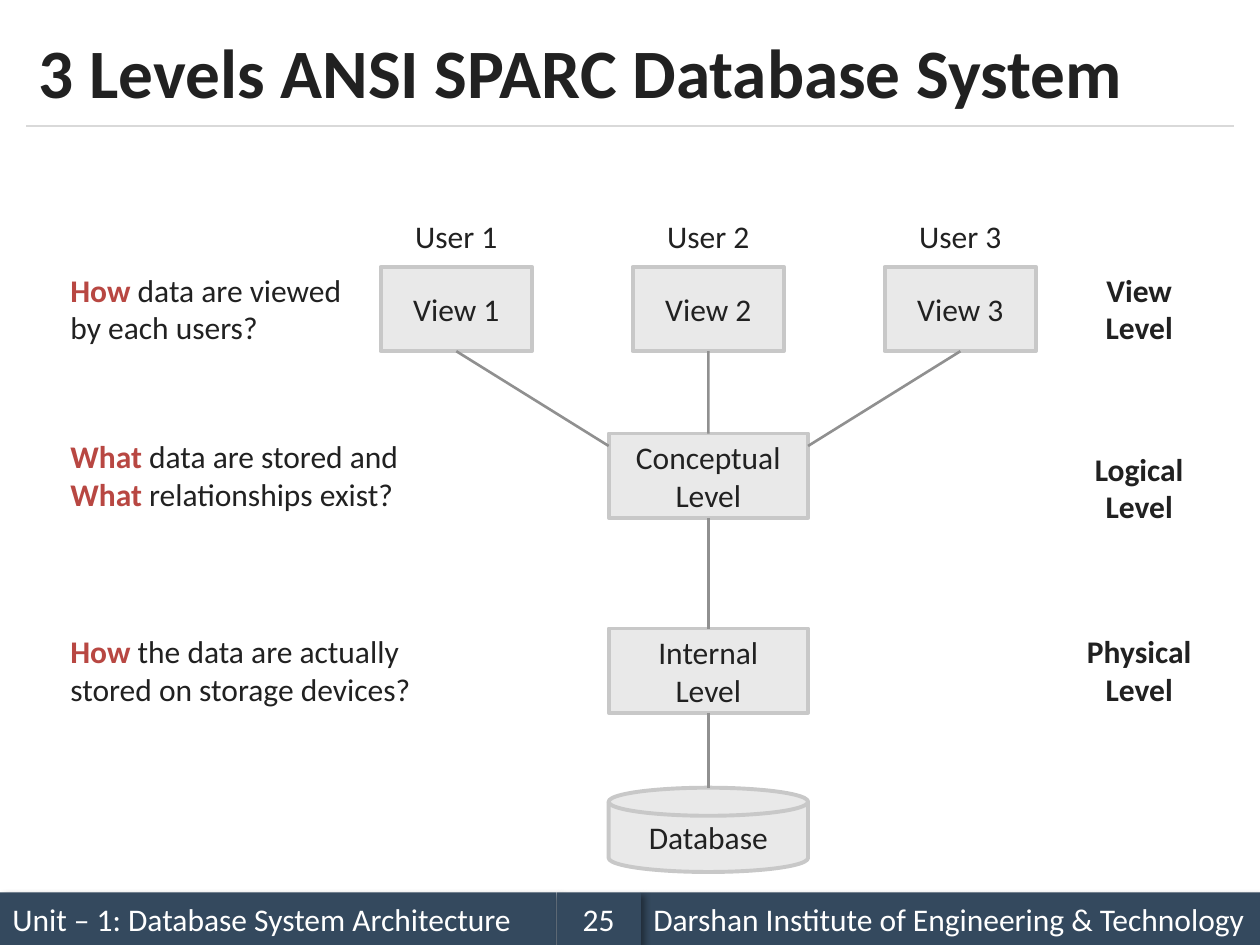
from lxml.etree import SubElement as Sub
from pptx import Presentation
from pptx.dml.color import RGBColor
from pptx.enum.shapes import MSO_CONNECTOR as Link, MSO_SHAPE as Shape
from pptx.enum.text import MSO_ANCHOR as Anchor, MSO_AUTO_SIZE as Fit, PP_ALIGN as Align
from pptx.oxml.ns import qn
from pptx.util import Cm, Pt

FONT = "Calibri"
INK = RGBColor(0x21, 0x21, 0x21)
RED = RGBColor(0xB8, 0x47, 0x42)
WHITE = RGBColor(0xFF, 0xFF, 0xFF)
NAVY = RGBColor(0x34, 0x49, 0x5E)
PALE = RGBColor(0xE9, 0xE9, 0xE9)
EDGE = RGBColor(0xC8, 0xC8, 0xC8)
GREY = RGBColor(0x90, 0x90, 0x90)
RULE = RGBColor(0xD9, 0xD9, 0xD9)

WIDE, HIGH = 25.4, 19.05
TALL = 1.7                      # height of every diagram box
ROWS = (5.38, 8.74, 12.67)      # tops of the three levels
BASE = 15.88                    # top of the database


def write(frame, text, size=18, color=INK, bold=False, align=Align.LEFT, anchor=Anchor.TOP):
    """Fill a frame; each line becomes a paragraph, and *words* turn bold red."""
    frame.word_wrap = True
    frame.auto_size = Fit.NONE
    frame.vertical_anchor = anchor
    for i, line in enumerate(text.split("\n")):
        para = frame.paragraphs[0] if i == 0 else frame.add_paragraph()
        para.alignment = align
        for j, part in enumerate(line.split("*")):
            if part:
                run = para.add_run()
                run.text = part
                font = run.font
                font.name, font.size = FONT, Pt(size)
                font.bold = bold or j % 2 == 1
                font.color.rgb = RED if j % 2 else color


def label(slide, box, text, **style):
    area = slide.shapes.add_textbox(*map(Cm, box))
    write(area.text_frame, text, **style)


def block(slide, box, text, kind=Shape.RECTANGLE, fill=PALE, edge=EDGE, **style):
    item = slide.shapes.add_shape(kind, *map(Cm, box))
    item.shadow.inherit = False
    item.fill.solid()
    item.fill.fore_color.rgb = fill
    if edge is None:
        item.line.fill.background()
    else:
        item.line.color.rgb = edge
        item.line.width = Pt(2.25)
    write(item.text_frame, text, anchor=Anchor.MIDDLE, **style)
    return item


def line(slide, start, end, color=GREY, width=1.5):
    wire = slide.shapes.add_connector(Link.STRAIGHT, *map(Cm, (*start, *end)))
    wire.line.color.rgb = color
    wire.line.width = Pt(width)
    Sub(wire._element.spPr, qn("a:effectLst"))
    return wire


def join(slide, upper, lower):
    wire = line(slide, (0, 0), (0, 0))
    wire.begin_connect(upper, 2)
    wire.end_connect(lower, 0)


def shade(item):
    """Give a shape a soft shadow to the lower right."""
    effects = item._element.spPr.find(qn("a:effectLst"))
    cast = Sub(effects, qn("a:outerShdw"), blurRad=str(Pt(4)), dist=str(Pt(3)),
               dir=str(45 * 60000), algn="tl", rotWithShape="0")
    tint = Sub(cast, qn("a:srgbClr"), val="000000")
    Sub(tint, qn("a:alpha"), val="40000")


def head(slide, box):
    x, y, w, h = box
    title = slide.shapes.title
    title.left, title.top, title.width, title.height = map(Cm, box)
    write(title.text_frame, "3 Levels ANSI SPARC Database System",
          size=39.6, bold=True, anchor=Anchor.MIDDLE)
    line(slide, (x, y + h), (x + w, y + h), RULE, 0.75)


def foot(slide, box):
    x, y, w, h = box
    left, mid = 11.22, 1.7
    right = left + mid
    bars = (
        (0, left, "Unit – 1: Database System Architecture", Align.LEFT),
        (right, w - right, "Darshan Institute of Engineering & Technology", Align.LEFT),
        (left, mid, "25", Align.CENTER),
    )
    for dx, wide, text, align in bars:
        shade(block(slide, (x + dx, y, wide, h), text, fill=NAVY, edge=None,
                    color=WHITE, align=align))


def chart(slide, box):
    """Three user views over the conceptual and internal levels and the database."""
    x, y, w, h = box
    mid = x + w / 2
    step, slim, broad = 5.08, 3.05, 4.02
    views = []
    for i in range(3):
        axis = mid + (i - 1) * step
        label(slide, (axis - 1.27, y - 1.13, 2.54, 1.02), f"User {i + 1}", align=Align.CENTER)
        views.append(block(slide, (axis - slim / 2, y, slim, TALL), f"View {i + 1}",
                           align=Align.CENTER))
    # Central column
    column = (
        (ROWS[1], "Conceptual\nLevel", Shape.RECTANGLE),
        (ROWS[2], "Internal\nLevel", Shape.RECTANGLE),
        (BASE, "Database", Shape.FLOWCHART_MAGNETIC_DISK),
    )
    stack = [views[1]]
    for top, text, kind in column:
        stack.append(block(slide, (mid - broad / 2, top, broad, TALL), text, kind,
                           align=Align.CENTER))
    # Links
    for side in (-1, 1):
        line(slide, (mid + side * step, y + TALL), (mid + side * broad / 2, ROWS[1] + 0.25))
    for upper, lower in zip(stack, stack[1:]):
        join(slide, upper, lower)


def asks(slide, box):
    x, y, w, h = box
    notes = (
        (0, 6.05, "*How* data are viewed by each users?"),
        (3.35, w, "*What* data are stored and\n*What* relationships exist?"),
        (7.29, w, "*How* the data are actually stored on storage devices?"),
    )
    for dy, wide, text in notes:
        label(slide, (x, y + dy, wide, 1.8), text)


def levels(slide, box):
    x, y, w, h = box
    for dy, name in ((0, "View"), (3.61, "Logical"), (7.29, "Physical")):
        label(slide, (x, y + dy, w, 1.8), f"{name}\nLevel", bold=True, align=Align.CENTER)


def main():
    deck = Presentation()
    deck.slide_width, deck.slide_height = Cm(WIDE), Cm(HIGH)
    slide = deck.slides.add_slide(deck.slide_layouts[5])
    foot(slide, (0, 17.99, WIDE, 1.06))
    head(slide, (0.53, 0.3, 24.34, 2.24))
    levels(slide, (21.59, 5.33, 2.75, 9.09))
    chart(slide, (7.68, ROWS[0], 13.2, BASE + TALL - ROWS[0]))
    asks(slide, (1.17, 5.33, 7.82, 9.09))
    deck.save("out.pptx")


if __name__ == "__main__":
    main()
